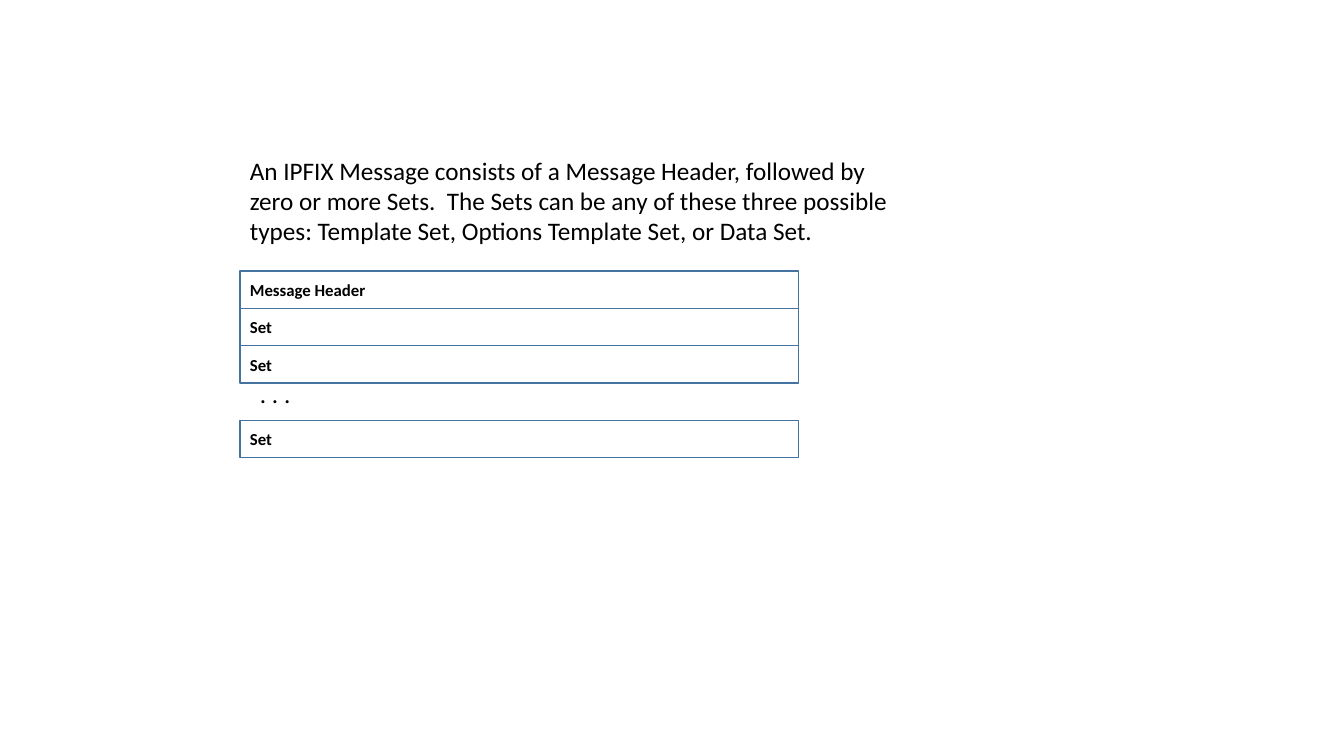
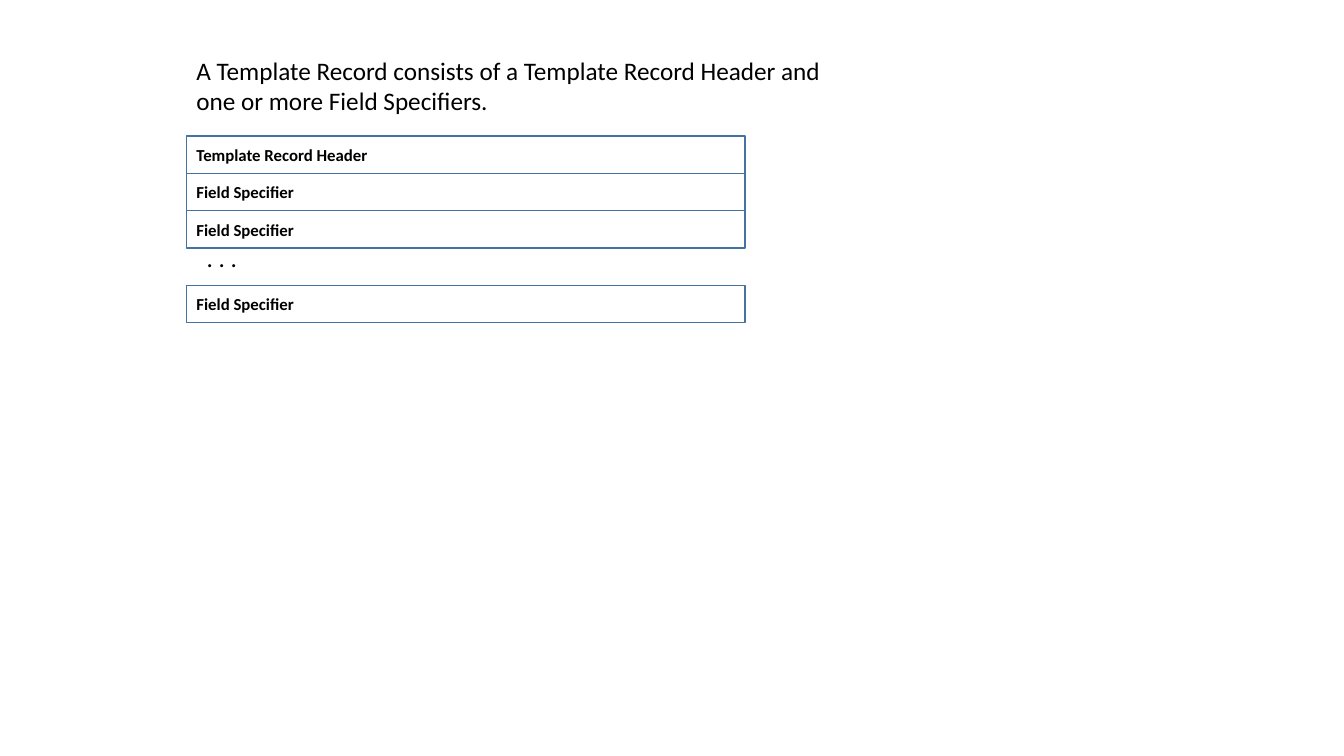
from pptx import Presentation
from pptx.dml.color import RGBColor
from pptx.enum import shapes, text
from pptx.util import Inches, Pt

COLORS = {"ink": "000000", "paper": "FFFFFF", "border": "43739E"}
FONT = "Calibri"
ROW_WIDTH, ROW_HEIGHT = 5.54, 0.37
CAPTION_WIDTH = 6.67
ELLIPSIS = ". . ."


def color(name):
    return RGBColor.from_string(COLORS[name])


def write(frame, words, size=18, bold=False, wrap=True,
          anchor=text.MSO_ANCHOR.TOP):
    frame.word_wrap = wrap
    frame.vertical_anchor = anchor
    paragraph = frame.paragraphs[0]
    paragraph.alignment = text.PP_ALIGN.LEFT
    run = paragraph.add_run()
    run.text = words
    run.font.name = FONT
    run.font.size = Pt(size)
    run.font.bold = bold
    run.font.color.rgb = color("ink")


def add_label(slide, words, left, top, width, height, **style):
    label = slide.shapes.add_textbox(
        Inches(left), Inches(top), Inches(width), Inches(height))
    write(label.text_frame, words, **style)
    label.text_frame.auto_size = text.MSO_AUTO_SIZE.SHAPE_TO_FIT_TEXT


def add_row(slide, words, left, top):
    row = slide.shapes.add_shape(
        shapes.MSO_SHAPE.RECTANGLE, Inches(left), Inches(top),
        Inches(ROW_WIDTH), Inches(ROW_HEIGHT))
    row.shadow.inherit = False
    row.fill.solid()
    row.fill.fore_color.rgb = color("paper")
    row.line.color.rgb = color("border")
    row.line.width = Pt(1)
    write(row.text_frame, words, size=12, bold=True,
          anchor=text.MSO_ANCHOR.MIDDLE)


def add_stack(slide, rows, left, top):
    """Stack the rows downwards; an ellipsis takes a row without a border."""
    for index, words in enumerate(rows):
        row_top = top + index * ROW_HEIGHT
        if words == ELLIPSIS:
            add_label(slide, words, left + 0.1, row_top - 0.1, 0.51, 0.4,
                      wrap=False)
        else:
            add_row(slide, words, left, row_top)


def add_format_slide(deck, caption, header, item, left, caption_top,
                     caption_height, stack_top):
    slide = deck.slides.add_slide(deck.slide_layouts[6])
    add_label(slide, caption, left, caption_top, CAPTION_WIDTH, caption_height)
    add_stack(slide, [header, item, item, ELLIPSIS, item], left, stack_top)


def main():
    deck = Presentation()
    deck.slide_width, deck.slide_height = Inches(13.33), Inches(7.5)
    add_format_slide(
        deck,
        "An IPFIX Message consists of a Message Header, followed by zero or "
        "more Sets.  The Sets can be any of these three possible types: "
        "Template Set, Options Template Set, or Data Set.",
        "Message Header", "Set",
        left=2.38, caption_top=1.49, caption_height=1.01, stack_top=2.69)
    add_format_slide(
        deck,
        "A Template Record consists of a Template Record Header and one or "
        "more Field Specifiers.",
        "Template Record Header", "Field Specifier",
        left=1.85, caption_top=0.5, caption_height=0.71, stack_top=1.35)
    deck.save("out.pptx")


if __name__ == "__main__":
    main()
